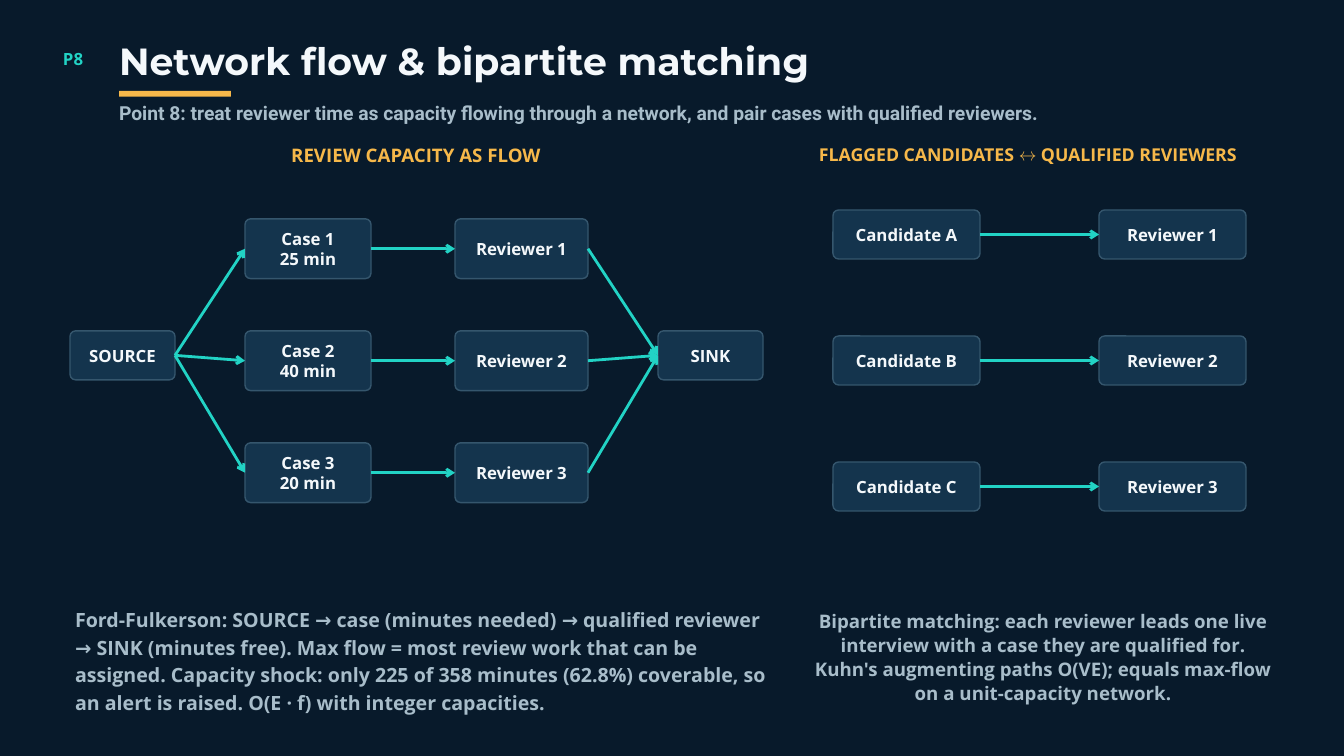
import pptx
import pptx.util
import pptx.dml.color
import pptx.enum.shapes
import pptx.enum.text
import pptx.oxml.ns
from lxml import etree

Pt = pptx.util.Pt
LEFT = pptx.enum.text.PP_ALIGN.LEFT
MID = pptx.enum.text.PP_ALIGN.CENTER
KIND = pptx.enum.shapes.MSO_SHAPE

HEX = {"back": "081A2B", "box": "14344D", "edge": "35566D", "teal": "22D3C5",
       "gold": "F6B84A", "white": "F4F8FB", "grey": "A8BDCA"}

TITLE = ("Network flow & bipartite matching", (127.5, 46, 1200, 42.5),
         "Montserrat", 40.5, 42.5, "white", LEFT)

TEXTS = [
    ("P8", (67.5, 50.5, 52.5, 22.5), "Open Sans", 18, 23.4, "teal", LEFT),
    ("Point 8: treat reviewer time as capacity flowing through a network, "
     "and pair cases with qualified reviewers.",
     (127.5, 108, 1200, 25), "Roboto", 20.7, 24.9, "grey", LEFT),
    ("REVIEW CAPACITY AS FLOW", (312, 152.5, 281.5, 25),
     "Open Sans", 20, 26, "gold", LEFT),
    ("FLAGGED CANDIDATES ↔ QUALIFIED REVIEWERS", (877.5, 152, 487.5, 24),
     "Open Sans", 19, 24.7, "gold", LEFT),
    ("Ford-Fulkerson: SOURCE → case (minutes needed) → qualified reviewer "
     "→ SINK (minutes free). Max flow = most review work that can be assigned. "
     "Capacity shock: only 225 of 358 minutes (62.8%) coverable, so an alert "
     "is raised. O(E · f) with integer capacities.",
     (80.5, 647.5, 742.5, 116), "Open Sans", 21, 29.4, "grey", LEFT),
    ("Bipartite matching: each reviewer leads one live interview with a case "
     "they are qualified for. Kuhn's augmenting paths O(VE); equals max-flow "
     "on a unit-capacity network.",
     (870, 651, 495, 101.5), "Open Sans", 20, 26, "grey", MID),
]

CASES = ["Case 1\n25 min", "Case 2\n40 min", "Case 3\n20 min"]
STAFF = ["Reviewer 1", "Reviewer 2", "Reviewer 3"]
PEOPLE = ["Candidate A", "Candidate B", "Candidate C"]

ENDS = {"SOURCE": 75, "SINK": 705}
END_TOP, END_W, LOW_H = 354.5, 112.5, 52.5
FLOW_TOP, FLOW_STEP, FLOW_H = 234.5, 120, 64
CASE_X, CASE_W, STAFF_X, STAFF_W = 262.5, 135, 487.5, 142.5
PAIR_TOP, PAIR_STEP, PAIR_W = 225, 135, 157.5
PAIR_LEFT, PAIR_RIGHT = 892.5, 1177.5
ROUND = 6


def color(name):
    return pptx.dml.color.RGBColor.from_string(HEX[name])


def style(shape, text, font, size, lead, tint, align, pad=(0, 0, 0, 0)):
    frame = shape.text_frame
    frame.text = text
    frame.word_wrap = True
    frame.auto_size = pptx.enum.text.MSO_AUTO_SIZE.NONE
    frame.margin_left, frame.margin_top, frame.margin_right, frame.margin_bottom = map(Pt, pad)
    for para in frame.paragraphs:
        para.alignment = align
        para.line_spacing = Pt(lead)
        for run in para.runs:
            run.font.name = font
            run.font.size = Pt(size)
            run.font.bold = True
            run.font.color.rgb = color(tint)
    return frame


def put_text(slide, text, place, *look):
    style(slide.shapes.add_textbox(*map(Pt, place)), text, *look)


def put_box(slide, text, x, y, w, h):
    box = slide.shapes.add_shape(KIND.ROUNDED_RECTANGLE, Pt(x), Pt(y), Pt(w), Pt(h))
    box.adjustments[0] = ROUND / h
    box.shadow.inherit = False
    box.fill.solid()
    box.fill.fore_color.rgb = color("box")
    box.line.color.rgb = color("edge")
    box.line.width = Pt(1.5)
    frame = style(box, text, "Open Sans", 18, 20.7, "white", MID, (4.5, 5.5, 4.5, 4.5))
    frame.vertical_anchor = pptx.enum.text.MSO_ANCHOR.MIDDLE
    return box


def put_stack(slide, names, x, y, w, h, step):
    return [put_box(slide, name, x, y + i * step, w, h) for i, name in enumerate(names)]


def link(slide, start, end):
    wire = slide.shapes.add_connector(pptx.enum.shapes.MSO_CONNECTOR.STRAIGHT, 0, 0, 0, 0)
    wire.begin_connect(start, 3)
    wire.end_connect(end, 1)
    wire.line.color.rgb = color("teal")
    wire.line.width = Pt(3)
    qn = pptx.oxml.ns.qn
    etree.SubElement(wire.line._get_or_add_ln(), qn("a:tailEnd"), type="arrow")
    etree.SubElement(wire._element.spPr, qn("a:effectLst"))


def main():
    deck = pptx.Presentation()
    deck.slide_width, deck.slide_height = Pt(1440), Pt(810)
    slide = deck.slides.add_slide(deck.slide_layouts[5])
    slide.background.fill.solid()
    slide.background.fill.fore_color.rgb = color("back")

    title = slide.shapes.title
    text, place, *look = TITLE
    title.left, title.top, title.width, title.height = map(Pt, place)
    frame = style(title, text, *look)
    frame.vertical_anchor = pptx.enum.text.MSO_ANCHOR.TOP

    bar = slide.shapes.add_shape(KIND.RECTANGLE, Pt(127.5), Pt(97.5), Pt(120), Pt(6))
    bar.shadow.inherit = False
    bar.fill.solid()
    bar.fill.fore_color.rgb = color("gold")
    bar.line.fill.background()

    for item in TEXTS:
        put_text(slide, *item)

    source, sink = [put_box(slide, name, x, END_TOP, END_W, LOW_H)
                    for name, x in ENDS.items()]
    cases = put_stack(slide, CASES, CASE_X, FLOW_TOP, CASE_W, FLOW_H, FLOW_STEP)
    staff = put_stack(slide, STAFF, STAFF_X, FLOW_TOP, STAFF_W, FLOW_H, FLOW_STEP)
    for case, person in zip(cases, staff):
        link(slide, source, case)
        link(slide, case, person)
        link(slide, person, sink)

    flagged = put_stack(slide, PEOPLE, PAIR_LEFT, PAIR_TOP, PAIR_W, LOW_H, PAIR_STEP)
    matched = put_stack(slide, STAFF, PAIR_RIGHT, PAIR_TOP, PAIR_W, LOW_H, PAIR_STEP)
    for pair in zip(flagged, matched):
        link(slide, *pair)

    deck.save("out.pptx")


if __name__ == "__main__":
    main()
